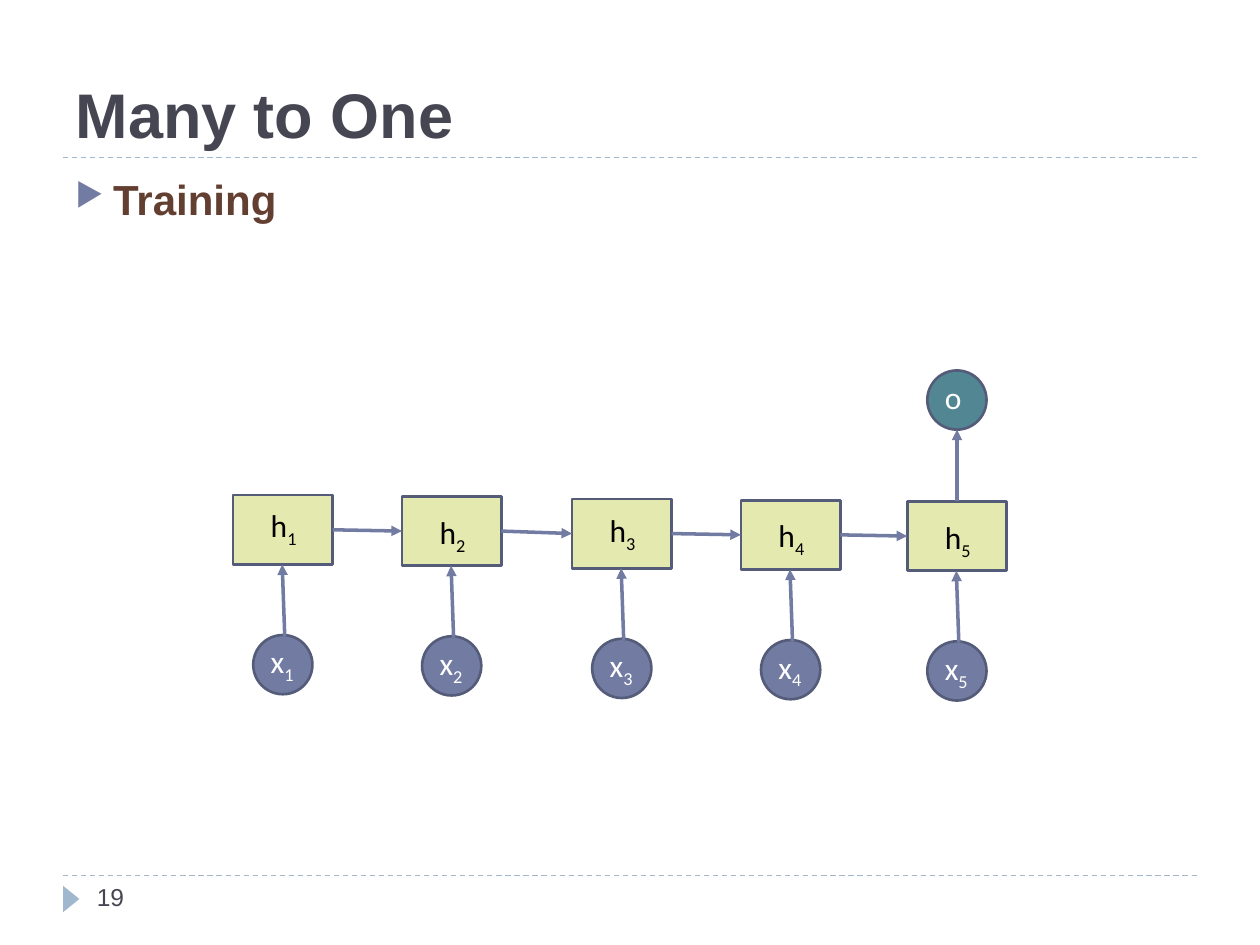
from dataclasses import dataclass

from lxml import etree
from pptx import Presentation
from pptx.dml.color import RGBColor
from pptx.enum.dml import MSO_LINE
from pptx.enum.shapes import MSO_CONNECTOR, MSO_SHAPE
from pptx.enum.text import MSO_ANCHOR, MSO_AUTO_SIZE, PP_ALIGN
from pptx.oxml.ns import qn
from pptx.util import Inches, Pt

RECT, OVAL, TRIANGLE = MSO_SHAPE.RECTANGLE, MSO_SHAPE.OVAL, MSO_SHAPE.ISOSCELES_TRIANGLE
STRAIGHT, DASH = MSO_CONNECTOR.STRAIGHT, MSO_LINE.DASH
BOTTOM, LEFT, FIT = MSO_ANCHOR.BOTTOM, PP_ALIGN.LEFT, MSO_AUTO_SIZE.SHAPE_TO_FIT_TEXT


@dataclass(frozen=True)
class Theme:
    heading_font: str = "Arial"
    label_font: str = "Calibri"
    title_size: int = 36
    body_size: int = 24
    label_size: int = 18
    number_size: int = 14
    title: str = "464653"
    body: str = "633F32"
    rule: str = "9FB8CD"
    accent: str = "727CA3"
    outline: str = "545C79"
    hidden_fill: str = "E4E9AF"
    output_fill: str = "528693"
    dark: str = "000000"
    light: str = "FFFFFF"


THEME = Theme()

# Left and top of each hidden state, and how far its label sits below that top
STEPS = [(1.85, 3.93, 0.04), (3.19, 3.94, 0.08), (4.54, 3.96, 0.05),
         (5.88, 3.97, 0.08), (7.2, 3.98, 0.08)]
BOX_W, BOX_H = 0.79, 0.55
NODE = 0.47
NODE_DX = (BOX_W - NODE) / 2
INPUT_DY = 1.11
OUTPUT_Y = 2.94


def rgb(value):
    return RGBColor.from_string(value)


def add_run(p, text, font=THEME.heading_font, size=THEME.label_size,
            color=THEME.title, bold=False, subscript=False):
    r = p.add_run()
    r.text = text
    r.font.name, r.font.size, r.font.bold = font, Pt(size), bold
    r.font.color.rgb = rgb(color)
    if subscript:
        r.font._element.set("baseline", "-25000")


def add_box(slide, x, y, w, h, wrap=True):
    tf = slide.shapes.add_textbox(Inches(x), Inches(y), Inches(w), Inches(h)).text_frame
    tf.word_wrap = wrap
    return tf


def add_label(slide, x, y, letter, index="", w=0.41, color=THEME.light):
    tf = add_box(slide, x, y, w, 0.4, wrap=False)
    tf.auto_size = FIT
    p = tf.paragraphs[0]
    add_run(p, letter, font=THEME.label_font, color=color)
    if index:
        add_run(p, index, font=THEME.label_font, color=color, subscript=True)


def add_node(slide, kind, x, y, w, h, fill, line=None):
    sp = slide.shapes.add_shape(kind, Inches(x), Inches(y), Inches(w), Inches(h))
    sp.shadow.inherit = False
    sp.fill.solid()
    sp.fill.fore_color.rgb = rgb(fill)
    if line:
        sp.line.color.rgb = rgb(line)
        sp.line.width = Pt(1.5)
    else:
        sp.line.fill.background()
    return sp


def add_line(slide, x1, y1, x2, y2, color=THEME.accent, width=2, dash=None, arrow=True):
    line = slide.shapes.add_connector(STRAIGHT, Inches(x1), Inches(y1), Inches(x2), Inches(y2))
    line.line.color.rgb = rgb(color)
    line.line.width = Pt(width)
    if dash:
        line.line.dash_style = dash
    if arrow:
        etree.SubElement(line.line._get_or_add_ln(), qn("a:tailEnd"), type="triangle")
    etree.SubElement(line._element.spPr, qn("a:effectLst"))


def add_bullet(p, char, color, percent, indent):
    pPr = p._p.get_or_add_pPr()
    pPr.set("marL", str(Inches(indent)))
    pPr.set("indent", str(-Inches(indent)))
    clr = etree.SubElement(pPr, qn("a:buClr"))
    etree.SubElement(clr, qn("a:srgbClr"), val=color)
    etree.SubElement(pPr, qn("a:buSzPct"), val=str(percent * 1000))
    etree.SubElement(pPr, qn("a:buChar"), char=char)


def add_frame(slide):
    # Dashed rules, page marker and page number
    for y in (1.25, 6.95):
        add_line(slide, 0.5, y, 9.5, y, color=THEME.rule, width=0.75, dash=DASH, arrow=False)
    marker = add_node(slide, TRIANGLE, 0.46, 7.07, 0.21, 0.13, THEME.rule)
    marker.rotation = 90
    number = add_box(slide, 0.67, 6.95, 2.17, 0.4)
    add_run(number.paragraphs[0], "19", size=THEME.number_size)


def add_title(slide, text):
    sp = slide.shapes.title
    sp.left, sp.top, sp.width, sp.height = Inches(0.5), Inches(0.17), Inches(9), Inches(1.08)
    tf = sp.text_frame
    tf.vertical_anchor = BOTTOM
    p = tf.paragraphs[0]
    p.alignment = LEFT
    add_run(p, text, size=THEME.title_size, bold=True)


def add_body(slide, text):
    p = add_box(slide, 0.5, 1.33, 9, 5.4).paragraphs[0]
    add_bullet(p, "▶", THEME.accent, 76, 0.3)
    add_run(p, text, size=THEME.body_size, color=THEME.body, bold=True)


def add_step(slide, index, x, y, label_dy):
    # Input node, hidden state and the arrow between them
    input_y = y + INPUT_DY
    add_node(slide, OVAL, x + NODE_DX, input_y, NODE, NODE, THEME.accent, THEME.outline)
    add_label(slide, x + 0.2, input_y + 0.01, "x", index)
    add_node(slide, RECT, x, y, BOX_W, BOX_H, THEME.hidden_fill, THEME.outline)
    add_label(slide, x + 0.2, y + label_dy, "h", index, color=THEME.dark)
    add_line(slide, x + 0.41, input_y + 0.01, x + 0.39, y + BOX_H)


def add_network(slide):
    for i, step in enumerate(STEPS, 1):
        add_step(slide, str(i), *step)

    # Recurrent arrows between neighbouring hidden states
    for (x1, y1, _), (x2, y2, _) in zip(STEPS, STEPS[1:]):
        add_line(slide, x1 + BOX_W, y1 + BOX_H / 2, x2, y2 + BOX_H / 2)

    # Single output above the last state
    x, y, _ = STEPS[-1]
    add_node(slide, OVAL, x + NODE_DX, OUTPUT_Y, NODE, NODE, THEME.output_fill, THEME.outline)
    add_label(slide, x + 0.2, OUTPUT_Y + 0.01, "o", w=0.34)
    add_line(slide, x + BOX_W / 2, y, x + BOX_W / 2, OUTPUT_Y + NODE)


def main():
    prs = Presentation()
    prs.slide_width, prs.slide_height = Inches(10), Inches(7.5)
    slide = prs.slides.add_slide(prs.slide_layouts[5])
    add_frame(slide)
    add_title(slide, "Many to One")
    add_body(slide, "Training")
    add_network(slide)
    prs.save("out.pptx")


if __name__ == "__main__":
    main()
